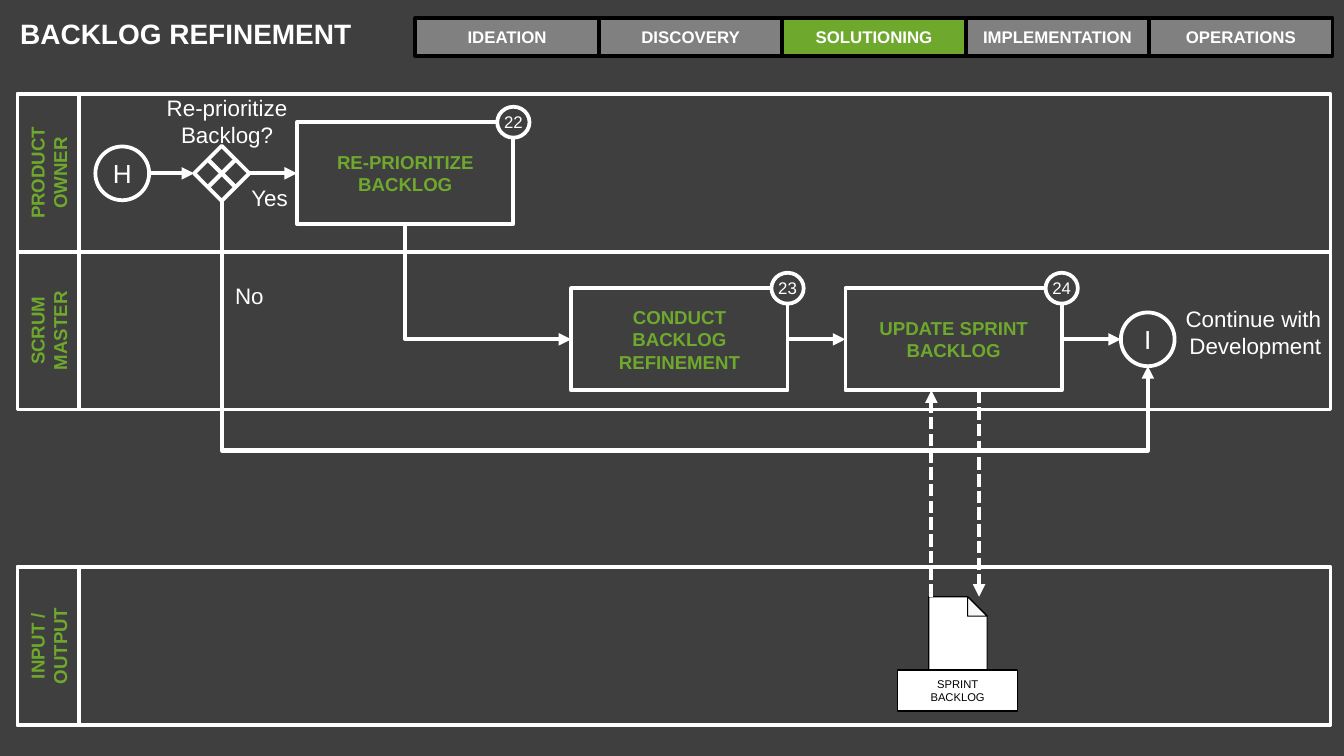
from dataclasses import dataclass

from lxml import etree
from pptx import Presentation
from pptx.dml.color import RGBColor
from pptx.enum.dml import MSO_LINE
from pptx.enum.shapes import MSO_CONNECTOR, MSO_SHAPE
from pptx.enum.text import MSO_ANCHOR, PP_ALIGN
from pptx.oxml.ns import qn
from pptx.util import Inches, Pt

RECT, OVAL, DECISION = MSO_SHAPE.RECTANGLE, MSO_SHAPE.OVAL, MSO_SHAPE.FLOWCHART_DECISION
STRAIGHT, ELBOW = MSO_CONNECTOR.STRAIGHT, MSO_CONNECTOR.ELBOW
DASH = MSO_LINE.SQUARE_DOT
TOP, MIDDLE = MSO_ANCHOR.TOP, MSO_ANCHOR.MIDDLE
LEFT, CENTER, RIGHT = PP_ALIGN.LEFT, PP_ALIGN.CENTER, PP_ALIGN.RIGHT
LEFT_SIDE, RIGHT_SIDE = 1, 3
TITLE_ONLY = 5


@dataclass(frozen=True)
class Theme:
    """Colours, type sizes and line widths of the process map."""
    font: str = "Arial"
    ground: str = "3F3F3F"
    ink: str = "FFFFFF"
    accent: str = "6EA92D"
    idle: str = "808080"
    dark: str = "000000"
    fold: str = "F8F8F8"
    title: float = 15
    event: float = 14
    label: float = 12
    step: float = 10
    small: float = 9
    tiny: float = 6
    outline: float = 2
    flow: float = 2.25
    hairline: float = 0.63


class ProcessMap:
    """Draws process elements on a grid of 100 columns, a tenth of an inch each."""

    def __init__(self, theme):
        """Open a deck with one title-only slide."""
        self.theme = theme
        self.deck = Presentation()
        self.deck.slide_width, self.deck.slide_height = Inches(10), Inches(5.625)
        self.unit = self.deck.slide_width / 100
        self.slide = self.deck.slides.add_slide(self.deck.slide_layouts[TITLE_ONLY])
        self.slide.background.fill.solid()
        self.slide.background.fill.fore_color.rgb = RGBColor.from_string(theme.ground)

    def grid(self, *cells):
        """Turn grid units into slide lengths."""
        return [round(cell * self.unit) for cell in cells]

    def letter(self, holder, text, size, color, bold=False, align=CENTER,
               anchor=MIDDLE, inset=None, wrap=True):
        """Fill a shape's text frame and format it."""
        frame = holder.text_frame
        frame.text = text
        frame.word_wrap, frame.vertical_anchor = wrap, anchor
        if inset is not None:
            frame.margin_left = frame.margin_right = Inches(inset)
            frame.margin_top = frame.margin_bottom = Inches(inset)
        for paragraph in frame.paragraphs:
            paragraph.alignment = align
            font = paragraph.runs[0].font
            font.name, font.size, font.bold = self.theme.font, Pt(size), bold
            font.color.rgb = RGBColor.from_string(color)

    def paint(self, shape, fill, line, width):
        """Set fill and outline, and drop the shadow."""
        shape.shadow.inherit = False
        if fill:
            shape.fill.solid()
            shape.fill.fore_color.rgb = RGBColor.from_string(fill)
        else:
            shape.fill.background()
        shape.line.color.rgb = RGBColor.from_string(line)
        shape.line.width = Pt(width)
        return shape

    def box(self, kind, x, y, w, h, fill=None, line=None, width=None):
        """Add a preset shape."""
        shape = self.slide.shapes.add_shape(kind, *self.grid(x, y, w, h))
        return self.paint(shape, fill, line or self.theme.ink, width or self.theme.outline)

    def title(self, text):
        """Place and format the slide title."""
        heading = self.slide.shapes.title
        heading.left, heading.top, heading.width, heading.height = self.grid(0.5, 0.2, 32.1, 6.3)
        self.letter(heading, text, self.theme.title, self.theme.ink, True, LEFT, TOP, 0.1)

    def phase(self, x, name, active):
        """Add one cell of the phase bar."""
        fill = self.theme.accent if active else self.theme.idle
        cell = self.box(RECT, x, 1.35, 13.65, 2.8, fill, self.theme.dark)
        self.letter(cell, name, self.theme.small, self.theme.ink, True)

    def lane(self, y, name):
        """Add a swimlane with its turned name tag."""
        height, tag = 11.72, 4.6
        self.box(RECT, 1.3, y, 97.7, height)
        role = self.box(RECT, 1.3 + (tag - height) / 2, y + (height - tag) / 2, height, tag)
        role.rotation = 270
        self.letter(role, name, self.theme.step, self.theme.accent, True)

    def event(self, x, mid, mark):
        """Add a lettered circle centred at a point."""
        circle = self.box(OVAL, x - 2, mid - 2, 4, 4)
        self.letter(circle, mark, self.theme.event, self.theme.ink, inset=0, wrap=False)

    def gateway(self, x, mid):
        """Add a decision diamond with a diagonal cross."""
        diamond = self.box(DECISION, x - 2.05, mid - 2.05, 4.1, 4.1)
        for rise in (1.05, -1.05):
            self.connect((x - 1.05, mid - rise), (x + 1.05, mid + rise), arrow=False)
        return diamond

    def step(self, x, mid, number, name):
        """Add a step card with its number on the corner."""
        width, height = 16.1, 7.6
        card = self.box(RECT, x, mid - height / 2, width, height)
        self.letter(card, name, self.theme.step, self.theme.accent, True)
        badge = self.box(OVAL, x + width - 1.2, mid - height / 2 - 1.15, 2.4, 2.3, self.theme.ground)
        self.letter(badge, number, self.theme.small, self.theme.ink, inset=0, wrap=False)
        return card

    def label(self, x, y, w, h, text, align=RIGHT):
        """Add a free label."""
        note = self.slide.shapes.add_textbox(*self.grid(x, y, w, h))
        self.letter(note, text, self.theme.label, self.theme.ink, align=align, anchor=TOP, wrap=False)

    def connect(self, start, end, kind=STRAIGHT, source=None, target=None, dashed=False, arrow=True):
        """Add a flow line, joined to the given shapes."""
        flow = self.slide.shapes.add_connector(kind, *self.grid(*start, *end))
        if source:
            flow.begin_connect(source, RIGHT_SIDE)
        if target:
            flow.end_connect(target, LEFT_SIDE)
        flow.line.color.rgb = RGBColor.from_string(self.theme.ink)
        flow.line.width = Pt(self.theme.flow)
        if dashed:
            flow.line.dash_style = DASH
        properties = flow.element.spPr
        if arrow:
            etree.SubElement(properties.find(qn("a:ln")), qn("a:tailEnd"), type="triangle")
        etree.SubElement(properties, qn("a:effectLst"))
        return flow

    def drop(self, start, end, preset, bend=None):
        """Add an elbow arrow that leaves its start downwards."""
        flow = self.connect(start, end, ELBOW)
        (x1, y1), (x2, y2) = start, end
        across, down = x2 - x1, y2 - y1
        flow.left, flow.top, flow.width, flow.height = self.grid(
            (x1 + x2 - down) / 2, (y1 + y2 - across) / 2, down, across)
        frame = flow.element.spPr.find(qn("a:xfrm"))
        frame.set("rot", "16200000")
        frame.set("flipH", "1")
        geometry = flow.element.spPr.find(qn("a:prstGeom"))
        geometry.set("prst", preset)
        if bend:
            guides = geometry.find(qn("a:avLst"))
            etree.SubElement(guides, qn("a:gd"), name="adj1", fmla=f"val {round(bend * 100000)}")

    def outline(self, points, fill):
        """Add a closed outline through the points."""
        first, *rest = [self.grid(*point) for point in points]
        pen = self.slide.shapes.build_freeform(*first)
        pen.add_line_segments(rest, close=True)
        self.paint(pen.convert_to_shape(), fill, self.theme.dark, self.theme.hairline)

    def document(self, x, y, name):
        """Add a page with a folded corner and a caption."""
        right, bottom, fold = x + 4.35, y + 5.8, 1.45
        corner = [(right - fold, y), (right, y + fold)]
        self.outline([corner[0], (x, y), (x, bottom), (right, bottom), corner[1]], self.theme.ink)
        self.outline([*corner, (right - fold, y + fold)], self.theme.fold)
        caption = self.box(RECT, x - 2.3, y + 5.45, 8.9, 3.05, self.theme.ink, self.theme.dark, 0.75)
        self.letter(caption, name, self.theme.tiny, self.theme.dark)


def main():
    """Build the backlog refinement slide."""
    page = ProcessMap(Theme())
    page.title("BACKLOG REFINEMENT")
    phases = ["IDEATION", "DISCOVERY", "SOLUTIONING", "IMPLEMENTATION", "OPERATIONS"]
    for index, name in enumerate(phases):
        page.phase(30.9 + index * 13.65, name, name == "SOLUTIONING")
    for y, name in [(7, "PRODUCT OWNER"), (18.75, "SCRUM MASTER"), (42.2, "INPUT / OUTPUT")]:
        page.lane(y, name)

    owner, master = 12.9, 25.25
    page.event(9.1, owner, "H")
    choice = page.gateway(16.5, owner)
    prioritize = page.step(22.1, owner, "22", "RE-PRIORITIZE BACKLOG")
    refine = page.step(42.5, master, "23", "CONDUCT BACKLOG REFINEMENT")
    update = page.step(62.9, master, "24", "UPDATE SPRINT BACKLOG")
    page.event(85.4, master, "I")
    page.document(69.1, 44.4, "SPRINT BACKLOG")

    page.connect((11.1, owner), (14.45, owner), target=choice)
    page.connect((18.55, owner), (22.1, owner), source=choice, target=prioritize)
    page.connect((58.6, master), (62.9, master), source=refine, target=update)
    page.connect((79, master), (83.4, master), source=update)
    page.drop((30.15, owner + 3.8), (42.5, master), "bentConnector2")
    page.drop((16.5, owner + 2.05), (85.4, master + 2), "bentConnector3", 1.51)
    page.connect((69.3, 44.4), (69.3, 29.05), dashed=True)
    page.connect((72.85, 29.05), (72.85, 44.4), dashed=True)

    page.label(11.4, 6.5, 11, 5, "Re-prioritize\nBacklog?", CENTER)
    page.label(17.5, 13.2, 4.9, 3, "Yes")
    page.label(16.4, 20.5, 4.2, 3, "No")
    page.label(87.1, 22.2, 12.2, 5, "Continue with\nDevelopment")
    page.deck.save("out.pptx")


if __name__ == "__main__":
    main()
